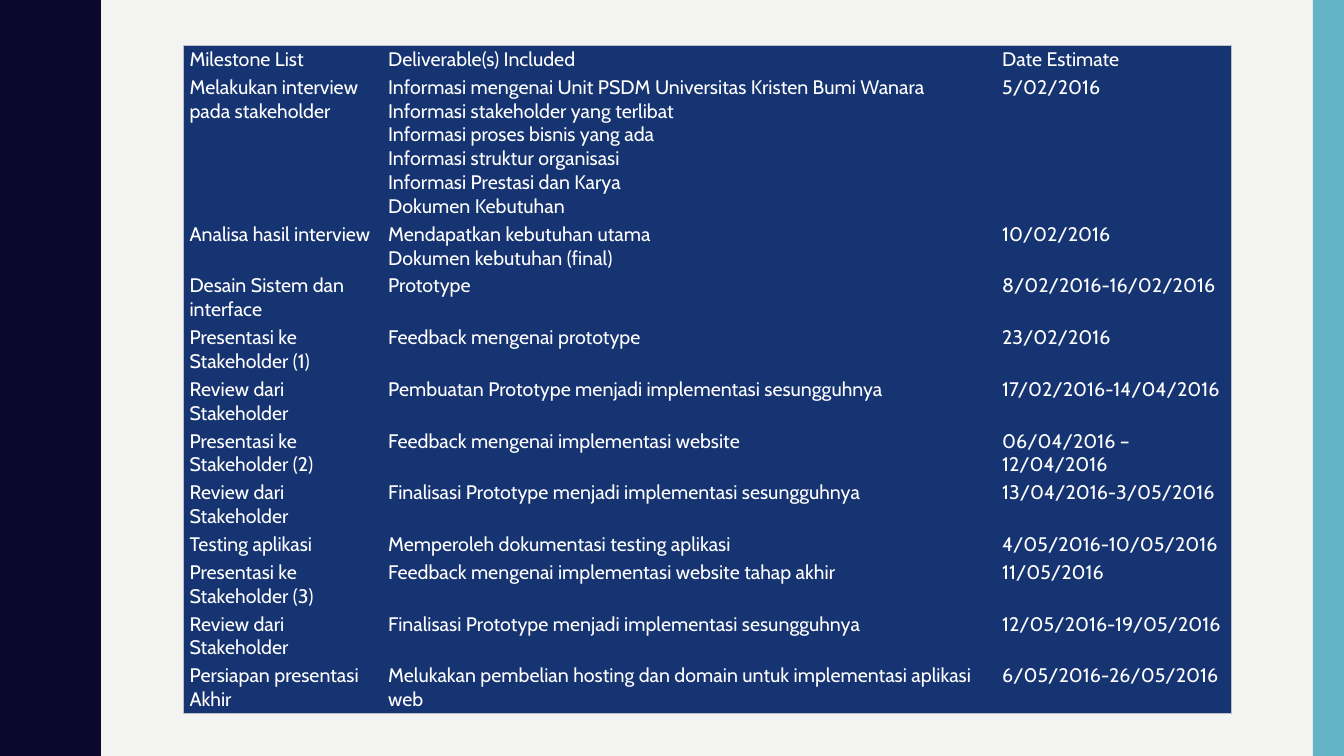
"""Build a slide with a project milestone table beside a wavy edge."""
from lxml.etree import SubElement
from pptx import Presentation
from pptx.dml.color import RGBColor
from pptx.enum.shapes import MSO_SHAPE
from pptx.enum.text import MSO_ANCHOR
from pptx.oxml.ns import qn
from pptx.util import Inches, Pt

WIDTH, HEIGHT = 13.33, 7.5
WAVE = 1.5
CURVE = [
    (0.78, 0), (0.78, 0.07), (0.79, 0.14), (0.8, 0.2), (0.81, 0.25),
    (0.83, 0.29), (0.85, 0.33), (0.87, 0.38), (0.89, 0.42), (0.91, 0.46),
    (0.93, 0.5), (0.95, 0.55), (0.96, 0.61), (0.97, 0.68), (0.97, 0.75),
]
COLS = [1.97, 6.09, 2.33]
LOW, MID, TALL = 0.27, 0.5, 1.4
ROWS = [
    (LOW, "Milestone List", "Deliverable(s) Included", "Date Estimate"),
    (TALL, "Melakukan interview pada stakeholder",
     "Informasi mengenai Unit PSDM Universitas Kristen Bumi Wanara\n"
     "Informasi stakeholder yang terlibat\n"
     "Informasi proses bisnis yang ada\n"
     "Informasi struktur organisasi\n"
     "Informasi Prestasi dan Karya\n"
     "Dokumen Kebutuhan", "5/02/2016"),
    (MID, "Analisa hasil interview",
     "Mendapatkan kebutuhan utama\nDokumen kebutuhan (final)", "10/02/2016"),
    (MID, "Desain Sistem dan interface", "Prototype", "8/02/2016-16/02/2016"),
    (MID, "Presentasi ke Stakeholder (1)", "Feedback mengenai prototype",
     "23/02/2016"),
    (MID, "Review dari Stakeholder",
     "Pembuatan Prototype menjadi implementasi sesungguhnya",
     "17/02/2016-14/04/2016"),
    (MID, "Presentasi ke Stakeholder (2)",
     "Feedback mengenai implementasi website", "06/04/2016 – 12/04/2016"),
    (MID, "Review dari Stakeholder",
     "Finalisasi Prototype menjadi implementasi sesungguhnya",
     "13/04/2016-3/05/2016"),
    (LOW, "Testing aplikasi", "Memperoleh dokumentasi testing aplikasi",
     "4/05/2016-10/05/2016"),
    (MID, "Presentasi ke Stakeholder (3)",
     "Feedback mengenai implementasi website tahap akhir", "11/05/2016"),
    (MID, "Review dari Stakeholder",
     "Finalisasi Prototype menjadi implementasi sesungguhnya",
     "12/05/2016-19/05/2016"),
    (MID, "Persiapan presentasi Akhir",
     "Melukakan pembelian hosting dan domain untuk implementasi aplikasi web",
     "6/05/2016-26/05/2016"),
]


def paint(fill, color):
    fill.solid()
    fill.fore_color.rgb = RGBColor.from_string(color)


class Page:
    font, size = "Cabin", 14
    back, dark, side = "F3F3F2", "0B082E", "62B4C6"
    panel, ink, edge = "173472", "FFFFFF", "BDBFC8"
    plain = "{2D5ABB26-0587-4C30-8999-92F81FD0307C}"

    def __init__(self, deck):
        self.slide = deck.slides.add_slide(deck.slide_layouts[6])
        paint(self.slide.background.fill, self.back)

    def finish(self, shape, color):
        paint(shape.fill, color)
        shape.line.fill.background()
        shape.shadow.inherit = False

    def wave(self):
        cycle = CURVE + [(x, WAVE - y) for x, y in reversed(CURVE[:-1])]
        points = [(x, y + turn * WAVE)
                  for turn in range(round(HEIGHT / WAVE)) for x, y in cycle]
        build = self.slide.shapes.build_freeform(0, 0, scale=Inches(1))
        build.add_line_segments(points + [(0, HEIGHT)], close=True)
        self.finish(build.convert_to_shape(), self.dark)

    def bar(self, left, top, width, height):
        shape = self.slide.shapes.add_shape(
            MSO_SHAPE.RECTANGLE, Inches(left), Inches(top),
            Inches(width), Inches(height))
        self.finish(shape, self.side)

    def table(self, left, top, cols, rows):
        frame = self.slide.shapes.add_table(
            len(rows), len(cols), Inches(left), Inches(top),
            Inches(sum(cols)), Inches(sum(row[0] for row in rows)))
        grid = frame.table
        grid.horz_banding = False
        grid._tbl.tblPr.find(qn("a:tableStyleId")).text = self.plain
        for col, width in zip(grid.columns, cols):
            col.width = Inches(width)
        for r, (height, *texts) in enumerate(rows):
            grid.rows[r].height = Inches(height)
            for c, text in enumerate(texts):
                sides = {"L": c == 0, "R": c == len(cols) - 1,
                         "T": r == 0, "B": r == len(rows) - 1}
                anchor = MSO_ANCHOR.TOP if r else MSO_ANCHOR.BOTTOM
                self.cell(grid.cell(r, c), text, anchor, sides)

    def cell(self, cell, text, anchor, sides):
        cell.vertical_anchor = anchor
        cell.margin_left = cell.margin_right = Inches(0.06)
        cell.margin_top = cell.margin_bottom = Inches(0.02)
        self.border(cell, sides)
        paint(cell.fill, self.panel)
        cell.text_frame.text = text
        for para in cell.text_frame.paragraphs:
            for run in para.runs:
                run.font.name = self.font
                run.font.size = Pt(self.size)
                run.font.color.rgb = RGBColor.from_string(self.ink)

    def border(self, cell, sides):
        props = cell._tc.get_or_add_tcPr()
        for side, shown in sides.items():
            if shown:
                line = SubElement(props, qn("a:ln" + side), w=str(Pt(0.5)))
                fill = SubElement(line, qn("a:solidFill"))
                SubElement(fill, qn("a:srgbClr"), val=self.edge)


def main():
    deck = Presentation()
    deck.slide_width, deck.slide_height = Inches(WIDTH), Inches(HEIGHT)
    page = Page(deck)
    page.wave()
    page.bar(13.02, 0, 0.31, HEIGHT)
    page.table(1.82, 0.45, COLS, ROWS)
    deck.save("out.pptx")


if __name__ == "__main__":
    main()
